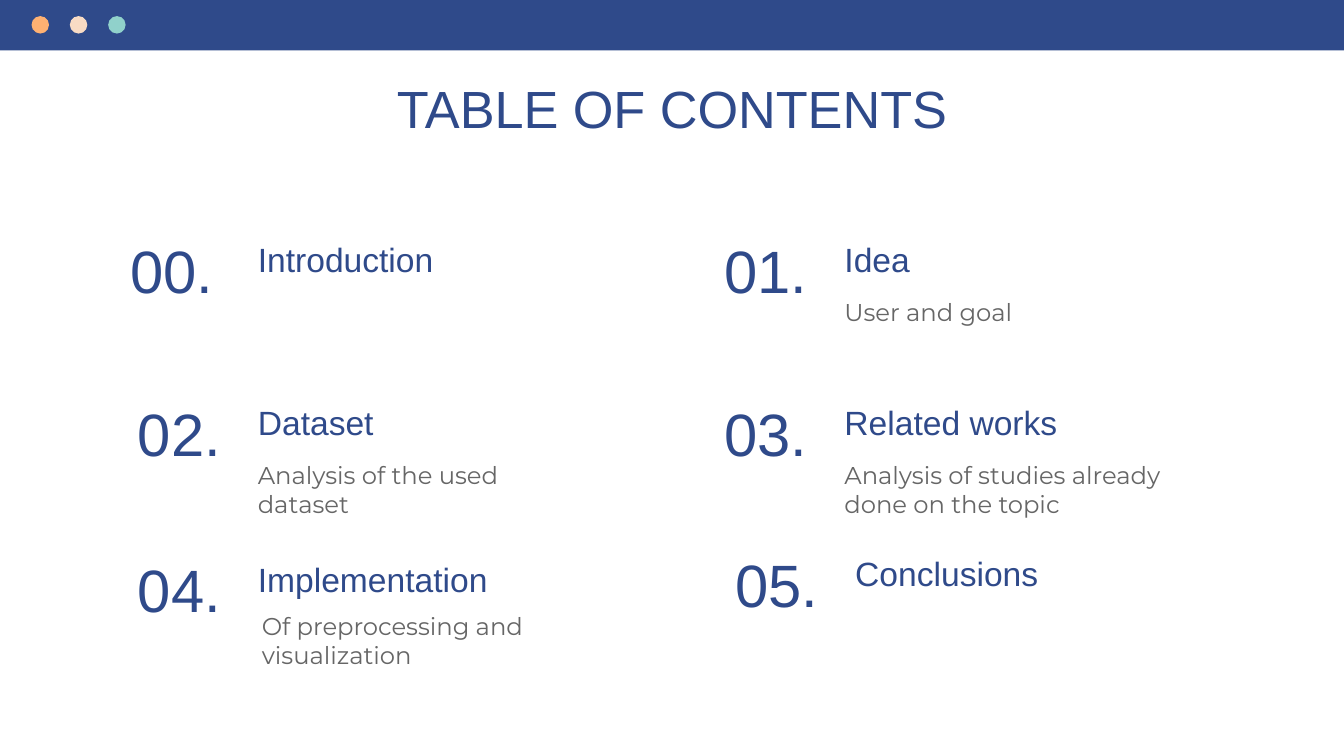
from dataclasses import dataclass

from pptx import Presentation
from pptx.dml.color import RGBColor
from pptx.enum.shapes import MSO_SHAPE
from pptx.enum.text import MSO_ANCHOR, PP_ALIGN
from pptx.util import Emu, Pt

RECTANGLE = MSO_SHAPE.RECTANGLE
OVAL = MSO_SHAPE.OVAL
TOP = MSO_ANCHOR.TOP
BOTTOM = MSO_ANCHOR.BOTTOM
LEFT = PP_ALIGN.LEFT
CENTER = PP_ALIGN.CENTER

EMU_PER_PX = 4572
SLIDE_WIDTH, SLIDE_HEIGHT = 2000, 1125
INSET = 20
NAVY = "2F4A8A"
GRAY = "666666"
WHITE = "FFFFFF"


@dataclass(frozen=True)
class TextStyle:
    size: int
    font: str = "Arial"
    color: str = NAVY
    align: PP_ALIGN = LEFT
    anchor: MSO_ANCHOR = TOP
    space_after: int = 0


@dataclass(frozen=True)
class Section:
    number: str
    heading: str
    left: int
    top: int
    heading_width: int
    number_left: int
    number_top: int
    description: str = ""
    description_left: int = 0
    description_top: int = 0
    description_width: int = 498


TITLE = TextStyle(28, align=CENTER)
NUMBER = TextStyle(32, align=CENTER, anchor=BOTTOM)
HEADING = TextStyle(18)
DESCRIPTION = TextStyle(13, "Montserrat", GRAY, space_after=12)

SECTIONS = [
    Section("00.", "Introduction", 364, 336, 584, 157, 347),
    Section("01.", "Idea", 1237, 336, 596, 1041, 347, "User and goal", 1237, 422),
    Section("02.", "Dataset", 364, 578, 584, 168, 589,
            "Analysis of the used dataset", 364, 665),
    Section("03.", "Related works", 1237, 578, 596, 1041, 589,
            "Analysis of studies already done on the topic", 1237, 665, 532),
    Section("04.", "Implementation", 364, 812, 584, 168, 822,
            "Of preprocessing and visualization", 370, 890),
    Section("05.", "Conclusions", 1253, 803, 596, 1057, 814),
]
DOT_COLORS = ["FFB172", "F8DBC4", "90D1CB"]
DOT_LEFT, DOT_STEP, DOT_SIZE = 47, 57, 26


def px(value: int) -> Emu:
    return Emu(value * EMU_PER_PX)


def rgb(color: str) -> RGBColor:
    return RGBColor.from_string(color)


def add_text(slide, text: str, left: int, top: int, width: int, height: int,
             style: TextStyle) -> None:
    box = slide.shapes.add_textbox(px(left), px(top), px(width), px(height))
    frame = box.text_frame
    frame.word_wrap = True
    frame.vertical_anchor = style.anchor
    frame.margin_left = frame.margin_right = px(INSET)
    frame.margin_top = frame.margin_bottom = px(INSET)
    paragraph = frame.paragraphs[0]
    paragraph.text = text
    paragraph.alignment = style.align
    paragraph.space_after = Pt(style.space_after)
    paragraph.font.size = Pt(style.size)
    paragraph.font.name = style.font
    paragraph.font.color.rgb = rgb(style.color)


def add_filled_shape(slide, kind: MSO_SHAPE, left: int, top: int, width: int,
                     height: int, color: str) -> None:
    shape = slide.shapes.add_shape(kind, px(left), px(top), px(width), px(height))
    shape.shadow.inherit = False
    shape.fill.solid()
    shape.fill.fore_color.rgb = rgb(color)
    shape.line.fill.background()


def add_section(slide, section: Section) -> None:
    add_text(slide, section.number, section.number_left, section.number_top,
             198, 128, NUMBER)
    add_text(slide, section.heading, section.left, section.top,
             section.heading_width, 102, HEADING)
    if section.description:
        add_text(slide, section.description, section.description_left,
                 section.description_top, section.description_width, 128,
                 DESCRIPTION)


def main() -> None:
    presentation = Presentation()
    presentation.slide_width = px(SLIDE_WIDTH)
    presentation.slide_height = px(SLIDE_HEIGHT)
    slide = presentation.slides.add_slide(presentation.slide_layouts[6])
    slide.background.fill.solid()
    slide.background.fill.fore_color.rgb = rgb(WHITE)

    add_filled_shape(slide, RECTANGLE, 0, 0, SLIDE_WIDTH, 75, NAVY)
    for index, color in enumerate(DOT_COLORS):
        add_filled_shape(slide, OVAL, DOT_LEFT + index * DOT_STEP, 24,
                         DOT_SIZE, DOT_SIZE, color)
    add_text(slide, "TABLE OF CONTENTS", 156, 94, 1688, 102, TITLE)
    for section in SECTIONS:
        add_section(slide, section)

    presentation.save("out.pptx")


if __name__ == "__main__":
    main()
